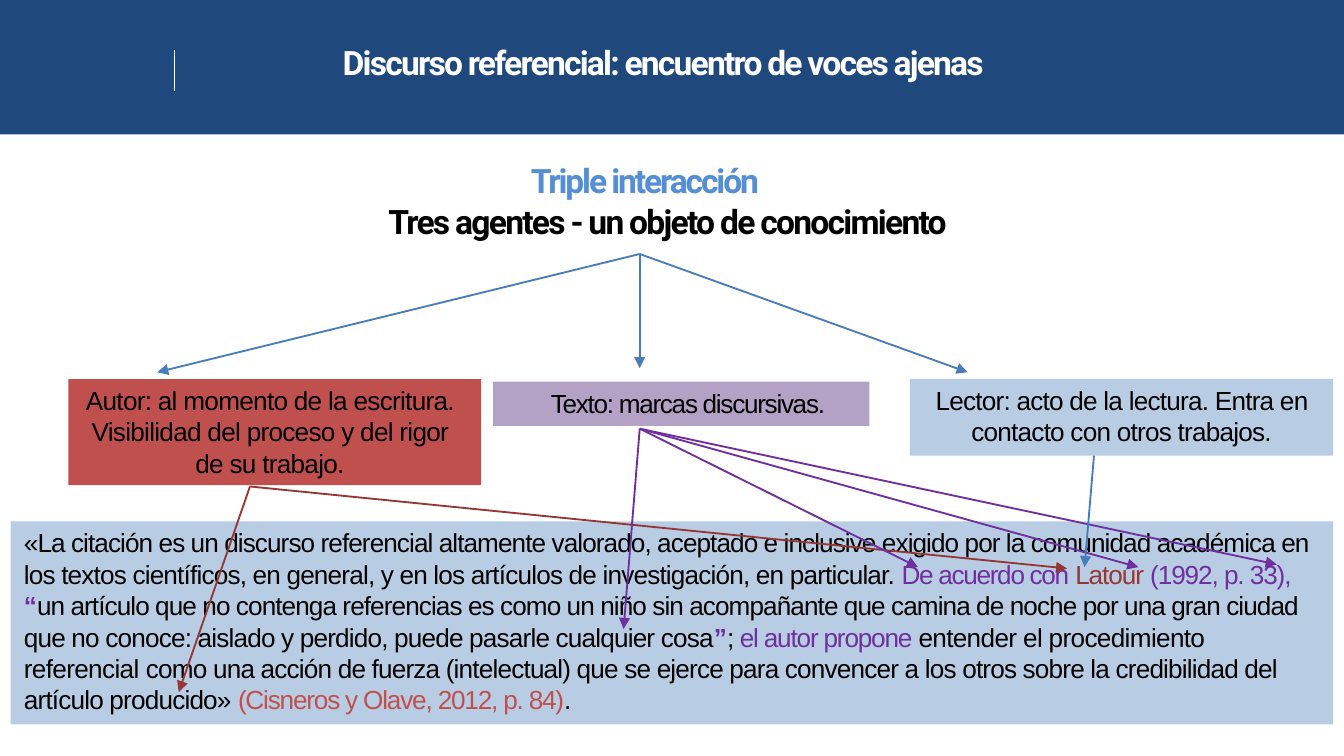
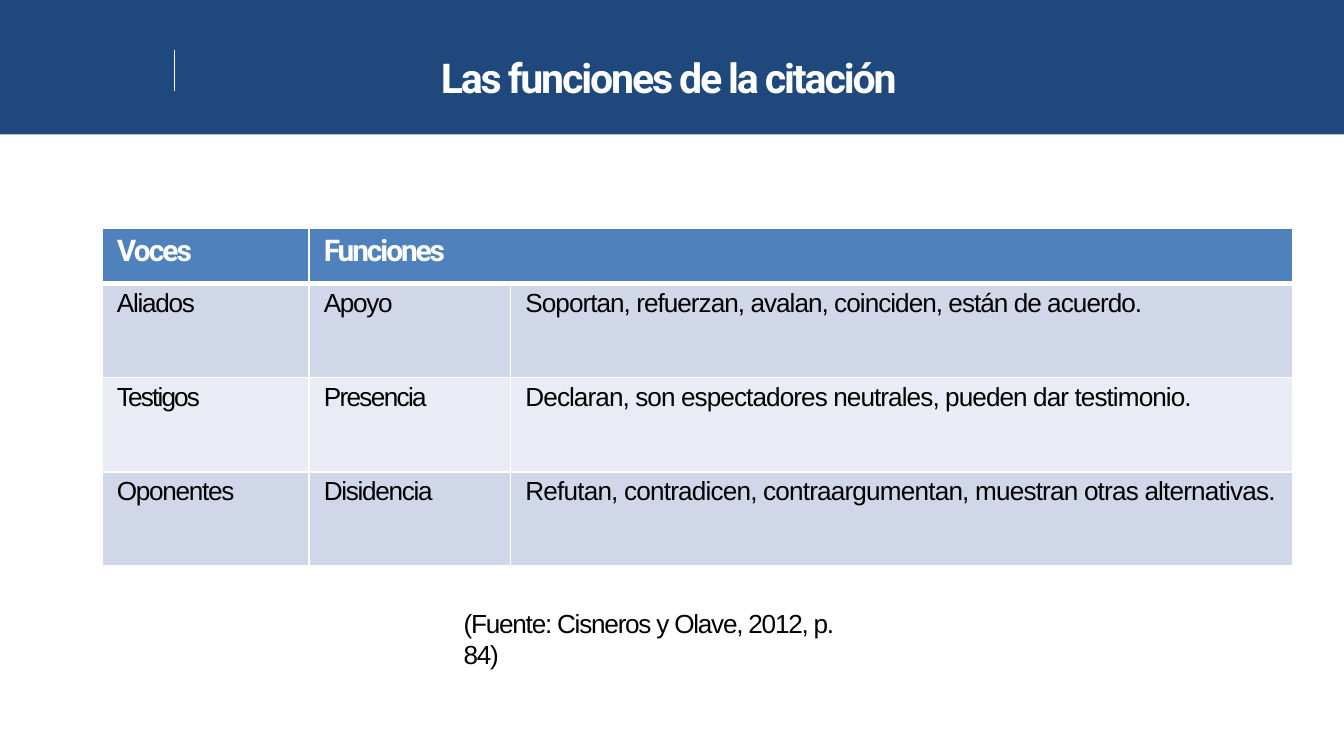
"""Builds two slides on referential discourse and the functions of citation."""
from lxml import etree
from pptx import Presentation
from pptx.dml.color import RGBColor
from pptx.enum.shapes import MSO_CONNECTOR as CONN, MSO_SHAPE as SHAPE
from pptx.enum.text import MSO_ANCHOR as ANCHOR, MSO_AUTO_SIZE as AUTO, PP_ALIGN as ALIGN
from pptx.oxml.ns import qn
from pptx.util import Inches, Pt

NAVY, WHITE, BLACK = "1F487C", "FFFFFF", "000000"
SKY, STEEL, PALE, HEADER = "548ED4", "497DBA", "B8CDE4", "4F81BC"
RED, MAROON, LILAC, PURPLE = "C0504D", "943735", "B3A1C6", "6F2F9F"
BANDS = ["D0D7E8", "E9ECF4"]

TITLES = [
    ("Discurso referencial: encuentro de voces ajenas", (2.54, 0.3, 4.92, 0.33), 18, -0.97),
    ("Las funciones de la citación", (3.27, 0.38, 3.47, 0.39), 22, -1.13),
]
HEADING = [
    ("Triple interacción", SKY, -1.12, 1.07),
    ("Tres agentes - un objeto de conocimiento", BLACK, -0.93, 0.01),
]
AGENTS = [
    ("Autor: al momento de la escritura. Visibilidad del proceso y del rigor de su trabajo.",
     (0.51, 2.82, 3.07, 0.79), RED, -0.4, 0.17),
    ("Texto: marcas discursivas.", (3.67, 2.84, 2.8, 0.33), LILAC, -0.7, 0),
    ("Lector: acto de la lectura. Entra en contacto con otros trabajos.",
     (6.77, 2.82, 3.15, 0.57), PALE, -0.42, 0.1),
]
PASSAGE = [
    ("«La citación es un discurso referencial altamente valorado, aceptado e inclusive "
     "exigido por la comunidad académica en ", -0.52, BLACK, False),
    ("los textos científicos, en general, y en los artículos de investigación, "
     "en particular. ", -0.46, BLACK, False),
    ("De acuerdo con ", -0.7, PURPLE, False),
    ("Latour ", -0.6, MAROON, False),
    ("(1992, p. 33), ", -0.6, PURPLE, False),
    ("“", -0.7, PURPLE, True),
    ("un artículo que no contenga referencias es como un niño sin acompañante que camina "
     "de noche por una gran ciudad ", -0.5, BLACK, False),
    ("que no conoce: aislado y perdido, puede pasarle cualquier cosa", -0.45, BLACK, False),
    ("”", -0.9, PURPLE, True),
    ("; ", -0.9, BLACK, False),
    ("el autor propone ", -0.65, PURPLE, False),
    ("entender el procedimiento referencial ", -0.38, BLACK, False),
    ("como una acción de fuerza (intelectual) que se ejerce para convencer a los otros "
     "sobre la credibilidad del artículo producido» ", -0.46, BLACK, False),
    ("(Cisneros y Olave, 2012, p. 84)", -0.65, RED, False),
    (".", -0.6, BLACK, False),
]
ARROWS = [
    (STEEL, (4.76, 1.89), [(1.17, 2.77), (4.76, 2.74), (7.2, 2.77)]),
    (MAROON, (1.86, 3.62), [(7.94, 4.23), (1.33, 5.15)]),
    (PURPLE, (4.76, 3.19), [(8.47, 4.22), (9.5, 4.2), (4.64, 4.68), (6.83, 4.22)]),
    (STEEL, (8.14, 3.39), [(8.07, 4.22)]),
]
COLUMNS = [1.54, 1.5, 5.82]
ROWS = [0.41, 0.7, 0.7, 0.7]
TABLE = [
    [("Voces", -1), ("Funciones", -1.1)],
    [("Aliados", -0.7), ("Apoyo", -0.7),
     ("Soportan, refuerzan, avalan, coinciden, están de acuerdo.", -0.55)],
    [("Testigos", -1), ("Presencia", -0.9),
     ("Declaran, son espectadores neutrales, pueden dar testimonio.", -0.5)],
    [("Oponentes", -0.7), ("Disidencia", -0.7),
     ("Refutan, contradicen, contraargumentan, muestran otras alternativas.", -0.46)],
]
SOURCE = "(Fuente: Cisneros y Olave, 2012, p. 84)"


def rgb(color):
    return RGBColor.from_string(color)


def inches(values):
    return [Inches(v) for v in values]


def add_run(p, text, size, color, spacing, font="Arial", bold=False):
    r = p.add_run()
    r.text = text
    f = r.font
    f.size, f.name, f.bold = Pt(size), font, bold
    f.color.rgb = rgb(color)
    r._r.get_or_add_rPr().set("spc", str(round(spacing * 100)))


def frame(s, left=0.01, top=0.01, right=0, before=1, align=ALIGN.LEFT):
    tf = s.text_frame
    tf.word_wrap, tf.auto_size, tf.vertical_anchor = True, AUTO.NONE, ANCHOR.TOP
    tf.margin_left, tf.margin_top, tf.margin_right, tf.margin_bottom = inches((left, top, right, 0))
    p = tf.paragraphs[0]
    p.alignment, p.space_before = align, Pt(before)
    return tf


def add_box(slide, box, fill):
    s = slide.shapes.add_shape(SHAPE.RECTANGLE, *inches(box))
    s.shadow.inherit = False
    s.fill.solid()
    s.fill.fore_color.rgb = rgb(fill)
    s.line.fill.background()
    return s


def add_line(slide, start, end, color, width, arrow=False):
    s = slide.shapes.add_connector(CONN.STRAIGHT, *inches(start + end))
    s.line.color.rgb = rgb(color)
    s.line.width = Pt(width)
    if arrow:
        etree.SubElement(s.line._get_or_add_ln(), qn("a:tailEnd"), type="triangle")
    etree.SubElement(s._element.spPr, qn("a:effectLst"))
    return s


def add_slide(prs, title):
    text, box, size, spacing = title
    slide = prs.slides.add_slide(prs.slide_layouts[5])
    s = slide.shapes.title
    s.left, s.top, s.width, s.height = inches(box)
    add_run(frame(s).paragraphs[0], text, size, WHITE, spacing, "Roboto", True)
    return slide


def add_band(slide):
    band = add_box(slide, (0, 0, 10, 1), NAVY)
    rule = add_line(slide, (1.3, 0.37), (1.3, 0.68), WHITE, 0.72)
    tree = slide.slide_layout.element.cSld.spTree
    for i, s in enumerate((band, rule)):
        tree.insert(2 + i, s._element)


def set_borders(cell, **widths):
    tc_pr = cell._tc.get_or_add_tcPr()
    for i, side in enumerate("LRTB"):
        ln = etree.Element(qn("a:ln" + side), w=str(Pt(widths.get(side, 1))))
        fill = etree.SubElement(ln, qn("a:solidFill"))
        etree.SubElement(fill, qn("a:srgbClr"), val=WHITE)
        tc_pr.insert(i, ln)


def build_interaction(slide):
    s = slide.shapes.add_textbox(*inches((2.88, 1.18, 4.28, 0.64)))
    tf = frame(s, left=0)
    for i, (text, color, spacing, indent) in enumerate(HEADING):
        p = tf.add_paragraph() if i else tf.paragraphs[0]
        p.space_before = Pt(0.5 if i else 1)
        p._p.get_or_add_pPr().set("marL", str(Inches(indent)))
        add_run(p, text, 18, color, spacing, "Roboto", True)
    for text, box, fill, spacing, right in AGENTS:
        tf = frame(add_box(slide, box, fill), 0.1, 0.04, right, 2, ALIGN.CENTER)
        add_run(tf.paragraphs[0], text, 14, BLACK, spacing)
    tf = frame(add_box(slide, (0.08, 3.88, 9.84, 1.51), PALE), 0.1, 0.04, 0.13)
    for text, spacing, color, bold in PASSAGE:
        add_run(tf.paragraphs[0], text, 14, color, spacing, bold=bold)
    for color, start, ends in ARROWS:
        for end in ends:
            add_line(slide, start, end, color, 1, arrow=True)


def build_functions(slide):
    box = inches((0.76, 1.7, sum(COLUMNS), sum(ROWS)))
    table = slide.shapes.add_table(len(ROWS), len(COLUMNS), *box).table
    table.horz_banding = False
    for column, width in zip(table.columns, COLUMNS):
        column.width = Inches(width)
    for row, height in zip(table.rows, ROWS):
        row.height = Inches(height)
    table.cell(0, 1).merge(table.cell(0, 2))
    for i, row in enumerate(table.rows):
        for j, cell in enumerate(row.cells):
            cell.fill.solid()
            cell.fill.fore_color.rgb = rgb(BANDS[(i - 1) % 2] if i else HEADER)
            set_borders(cell, T=3 if i == 1 else 1, B=1 if i else 3)
            cell.margin_left, cell.margin_top, cell.margin_right, cell.margin_bottom = inches(
                (0.11, 0.04, 0, 0))
            if j < len(TABLE[i]):
                text, spacing = TABLE[i][j]
                p = cell.text_frame.paragraphs[0]
                p.space_before = Pt(2.7)
                style = (14, BLACK, spacing) if i else (16, WHITE, spacing, "Roboto", True)
                add_run(p, text, *style)
    s = slide.shapes.add_textbox(*inches((3.44, 4.51, 3.02, 0.26)))
    add_run(frame(s).paragraphs[0], SOURCE, 14, BLACK, -0.68)


prs = Presentation()
prs.slide_width, prs.slide_height = inches((10, 5.625))
interaction, functions = [add_slide(prs, title) for title in TITLES]
add_band(interaction)
build_interaction(interaction)
build_functions(functions)
prs.save("out.pptx")
